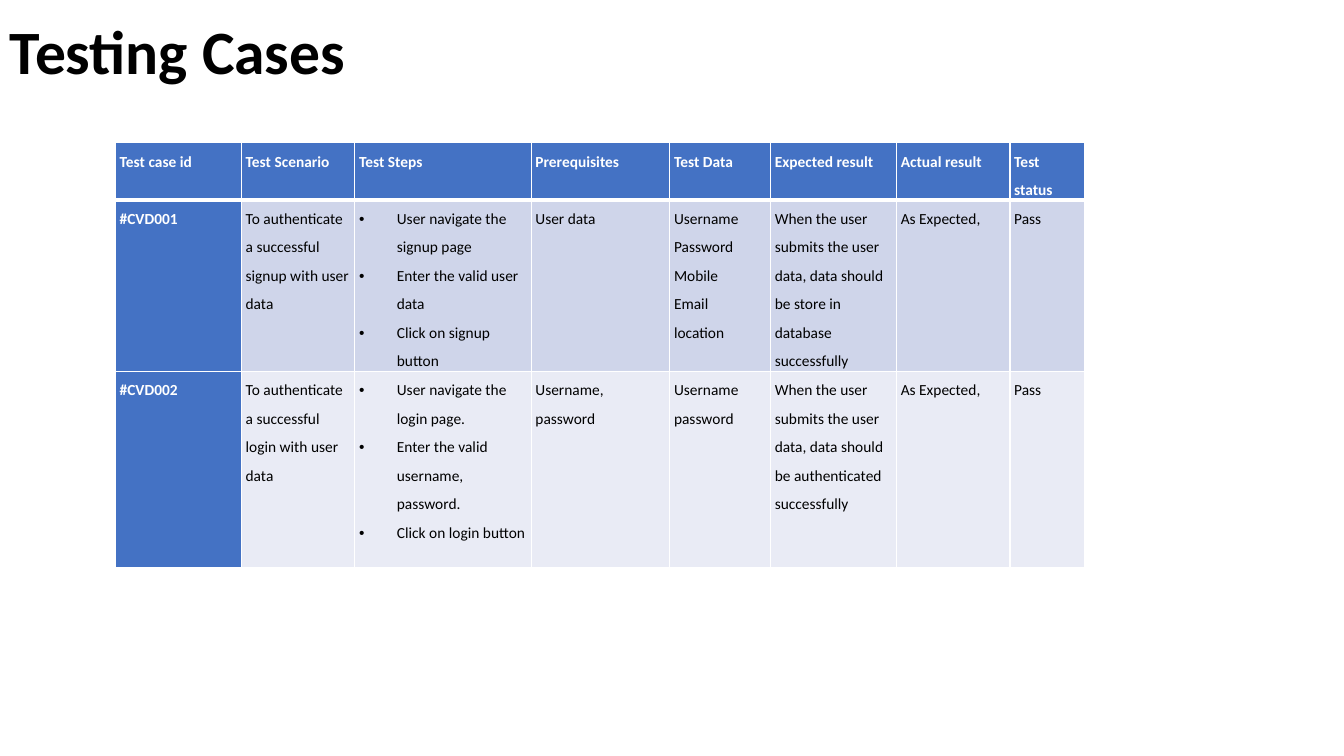
from lxml import etree
from pptx import Presentation
from pptx import util as u
from pptx.dml.color import RGBColor
from pptx.enum import text as t
from pptx.oxml import ns

Pt = u.Pt
FONT, BLUE, WHITE, BLACK = "Calibri", "4472C4", "FFFFFF", "000000"
BANDS = ["CFD5EA", "E9EBF5"]
COLS = [90, 81, 126, 99, 72, 90, 81, 53]
ROWS = [41, 122.5, 140]
LEFT, STEPS = (1, 2, 5), 2
HEADS = ["Test case id", "Test Scenario", "Test Steps", "Prerequisites",
         "Test Data", "Expected result", "Actual result", "Test status"]
CASES = [
    ["#CVD001",
     "To authenticate a successful signup with user data",
     ["User navigate the signup page", "Enter the valid user data",
      "Click on signup button"],
     "User data",
     ["Username", "Password", "Mobile", "Email", "location"],
     "When the user submits the user data, data should be store in "
     "database successfully",
     "As Expected,", "Pass"],
    ["#CVD002",
     "To authenticate a successful login with user data",
     ["User navigate the login page.",
      "Enter the valid username, password.", "Click on login button"],
     "Username, password",
     "Username password",
     "When the user submits the user data, data should be authenticated "
     "successfully",
     "As Expected,", "Pass"],
]


def paint(color, tone):
    """Set a colour from a hex string."""
    color.rgb = RGBColor.from_string(tone)


def write(para, words, size, tone, bold):
    """Add one run of text to a paragraph."""
    run = para.add_run()
    run.text = words
    run.font.name, run.font.size, run.font.bold = FONT, Pt(size), bold
    paint(run.font.color, tone)


def bullet(para):
    """Give a paragraph a hanging bullet."""
    props = para._p.get_or_add_pPr()
    props.set("marL", str(Pt(27)))
    props.set("indent", str(-Pt(27)))
    etree.SubElement(props, ns.qn("a:buFont")).set("typeface", "Arial")
    etree.SubElement(props, ns.qn("a:buChar")).set("char", "•")


def edge(cell, row):
    """Draw white cell borders, thick below the header row."""
    props = cell._tc.get_or_add_tcPr()
    thick = {0: "lnB", 1: "lnT"}.get(row)
    for spot, side in enumerate(("lnL", "lnR", "lnT", "lnB")):
        line = etree.Element(ns.qn("a:" + side))
        line.set("w", str(Pt(3 if side == thick else 1)))
        fill = etree.SubElement(line, ns.qn("a:solidFill"))
        etree.SubElement(fill, ns.qn("a:srgbClr")).set("val", WHITE)
        props.insert(spot, line)


def fill_cell(cell, row, col, words):
    """Style one table cell and write its lines."""
    head = row == 0 or col == 0
    cell.fill.solid()
    paint(cell.fill.fore_color, BLUE if head else BANDS[row - 1])
    cell.margin_left = cell.margin_right = Pt(3)
    cell.margin_top = cell.margin_bottom = 0
    edge(cell, row)
    left = col == 5 or (row and col in LEFT)
    lines = [words] if isinstance(words, str) else words
    frame = cell.text_frame
    for spot, line in enumerate(lines):
        para = frame.add_paragraph() if spot else frame.paragraphs[0]
        para.alignment = t.PP_ALIGN.LEFT if left else t.PP_ALIGN.JUSTIFY
        para.line_spacing = 1.5
        if row and col == STEPS:
            bullet(para)
        write(para, line, 11, WHITE if head else BLACK, head)


def add_title(slide, x, y, w, h):
    """Place the slide heading in its box."""
    frame = slide.shapes.add_textbox(Pt(x), Pt(y), Pt(w), Pt(h)).text_frame
    frame.word_wrap = True
    frame.vertical_anchor = t.MSO_ANCHOR.MIDDLE
    para = frame.paragraphs[0]
    para.line_spacing = 0.9
    write(para, "Testing Cases", 44, BLACK, True)


def add_cases(slide, x, y):
    """Place the table of test cases with its corner at x, y."""
    grid = slide.shapes.add_table(len(ROWS), len(COLS), Pt(x), Pt(y),
                                  Pt(sum(COLS)), Pt(sum(ROWS))).table
    for col, width in zip(grid.columns, COLS):
        col.width = Pt(width)
    for row, height in zip(grid.rows, ROWS):
        row.height = Pt(height)
    for row, cells in enumerate([HEADS] + CASES):
        for col, words in enumerate(cells):
            fill_cell(grid.cell(row, col), row, col, words)


def main():
    """Build the slide and save it."""
    deck = Presentation()
    deck.slide_width, deck.slide_height = Pt(960), Pt(540)
    slide = deck.slides.add_slide(deck.slide_layouts[6])
    add_title(slide, 0, -13, 828, 104.4)
    add_cases(slide, 82.5, 102)
    deck.save("out.pptx")


if __name__ == "__main__":
    main()
